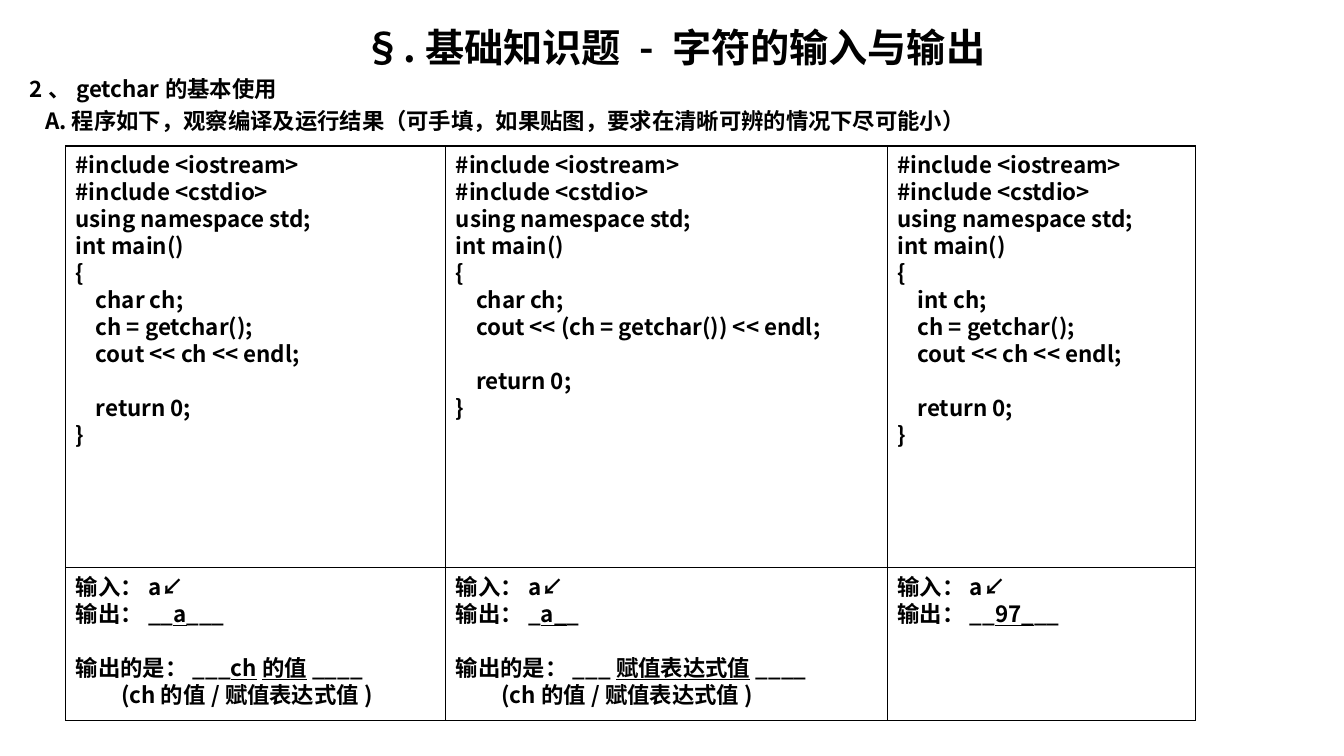
from pptx import Presentation
from pptx import util as u
from pptx.dml.color import RGBColor
from pptx.enum import shapes, text
from pptx.oxml.ns import qn
from lxml import etree

FONT = "Noto Sans CJK SC"
INK = "000000"
SIZE = 16
PITCH = 19.3
SPACE = 0.127

INCLUDES = ["#include <iostream>", "#include <cstdio>", "using namespace std;", "int main()", "{"]
ENDING = ["", "    return 0;", "}"]
CHOICES = "         (ch的值/赋值表达式值)"
TESTS = [
    (9.58, ["    char ch;", "    ch = getchar();", "    cout << ch << endl;"],
     ["输入：a↙", "输出：__|a|___", "", "输出的是：___|ch的值|____", CHOICES]),
    (11.13, ["    char ch;", "    cout << (ch = getchar()) << endl;"],
     ["输入：a↙", "输出：_|a_|_", "", "输出的是：___|赋值表达式值|____", CHOICES]),
    (7.75, ["    int ch;", "    ch = getchar();", "    cout << ch << endl;"],
     ["输入：a↙", "输出：__|97_|__"]),
]


def color(value):
    """Turn a hex string into a colour."""
    return RGBColor.from_string(value)


def format_run(r, size=SIZE, underline=False):
    """Give a run the slide's bold face."""
    r.font.size = u.Pt(size)
    r.font.bold = True
    if underline:
        r.font.underline = True
    r.font.color.rgb = color(INK)
    r.font.name = FONT
    etree.SubElement(r.font._element, qn("a:ea"), typeface=FONT)


def place(sp, left, top, width, height):
    """Move a shape to a box given in centimetres."""
    sp.left, sp.top, sp.width, sp.height = map(u.Cm, (left, top, width, height))


def write_lines(tf, lines, extra=0):
    """Write lines: leading spaces become indents, empty lines gaps, |x| underlines."""
    tf.word_wrap = True
    tf.auto_size = text.MSO_AUTO_SIZE.NONE
    tf.vertical_anchor = text.MSO_ANCHOR.TOP
    p, gap = None, 0
    for line in lines:
        if not line:
            gap += PITCH
            continue
        p = tf.paragraphs[0] if p is None else tf.add_paragraph()
        p.alignment = text.PP_ALIGN.LEFT
        p.line_spacing = u.Pt(PITCH)
        p.space_before = u.Pt(gap)
        gap = extra
        words = line.lstrip()
        pPr = p._p.get_or_add_pPr()
        pPr.set("marL", str(u.Cm((len(line) - len(words)) * SPACE)))
        pPr.set("indent", "0")
        etree.SubElement(pPr, qn("a:buNone"))
        for i, part in enumerate(words.split("|")):
            r = p.add_run()
            r.text = part
            format_run(r, underline=i % 2 == 1)


def add_heading(s, left, top, width):
    """Fill the title and the question above the table of programs."""
    title, body = s.placeholders
    place(title, left, top, width, 1.46)
    tf = title.text_frame
    tf.text = "§.基础知识题 - 字符的输入与输出"
    tf.auto_size = text.MSO_AUTO_SIZE.NONE
    tf.vertical_anchor = text.MSO_ANCHOR.MIDDLE
    p = tf.paragraphs[0]
    p.alignment = text.PP_ALIGN.CENTER
    format_run(p.runs[0], 28)
    place(body, left, top + 1.3, width, 1.85)
    write_lines(body.text_frame, [
        "2、getchar的基本使用",
        "   A.程序如下，观察编译及运行结果（可手填，如果贴图，要求在清晰可辨的情况下尽可能小）",
    ], 3.4)


def add_panel(s, left, top, width, height, lines=()):
    """Draw an outlined box holding lines of text."""
    sp = s.shapes.add_shape(shapes.MSO_SHAPE.RECTANGLE, 0, 0, 0, 0)
    place(sp, left, top, width, height)
    sp.shadow.inherit = False
    sp.fill.background()
    sp.line.color.rgb = color(INK)
    sp.line.width = u.Pt(0.75)
    write_lines(sp.text_frame, lines)


def add_programs(s, left, top, height, answer_height):
    """Set the programs side by side with their answers at the foot."""
    add_panel(s, left, top, sum(width for width, _, _ in TESTS), height)
    for width, statements, answers in TESTS:
        add_panel(s, left, top, width, height, INCLUDES + statements + ENDING)
        add_panel(s, left, top + height - answer_height, width, answer_height, answers)
        left += width


def main():
    """Build the slide."""
    prs = Presentation()
    prs.slide_width, prs.slide_height = u.Cm(33.87), u.Cm(19.05)
    s = prs.slides.add_slide(prs.slide_layouts[1])
    add_heading(s, 0.5, 0.46, 33)
    add_programs(s, 1.66, 3.68, 14.47, 3.84)
    prs.save("out.pptx")


if __name__ == "__main__":
    main()
